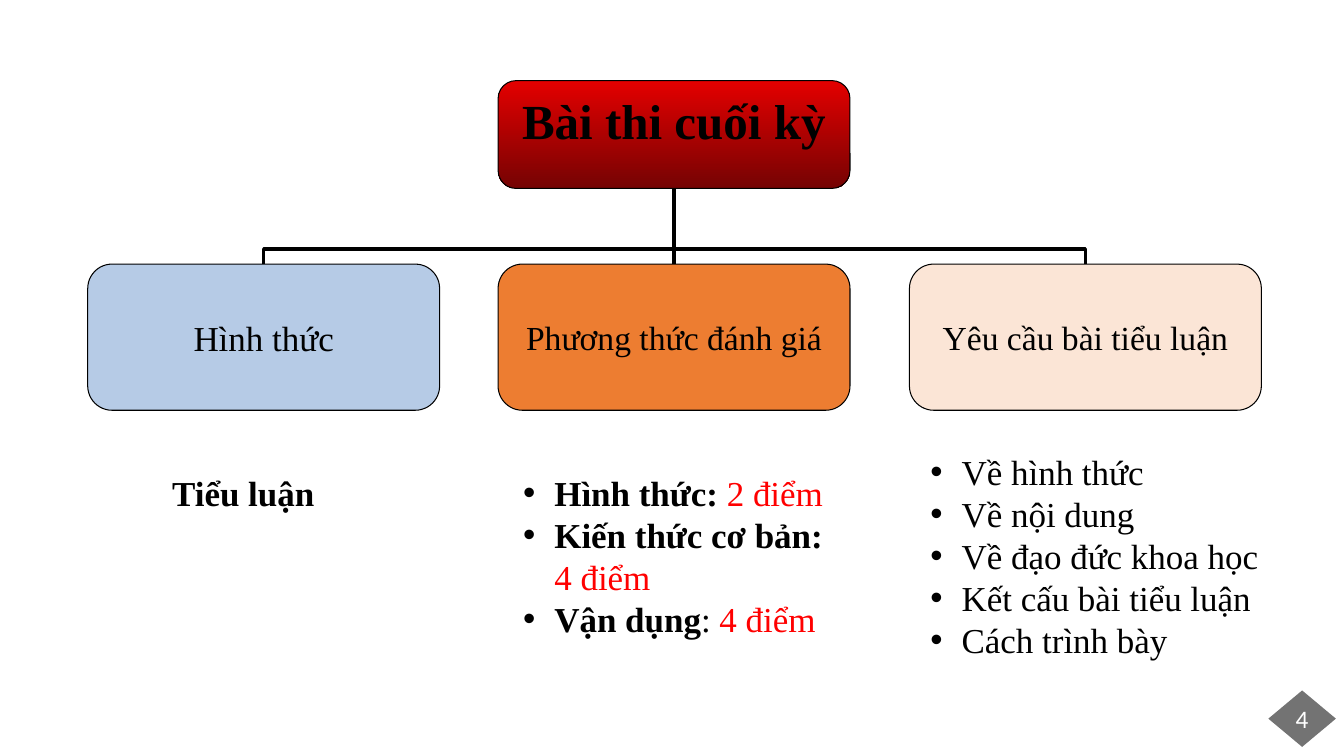
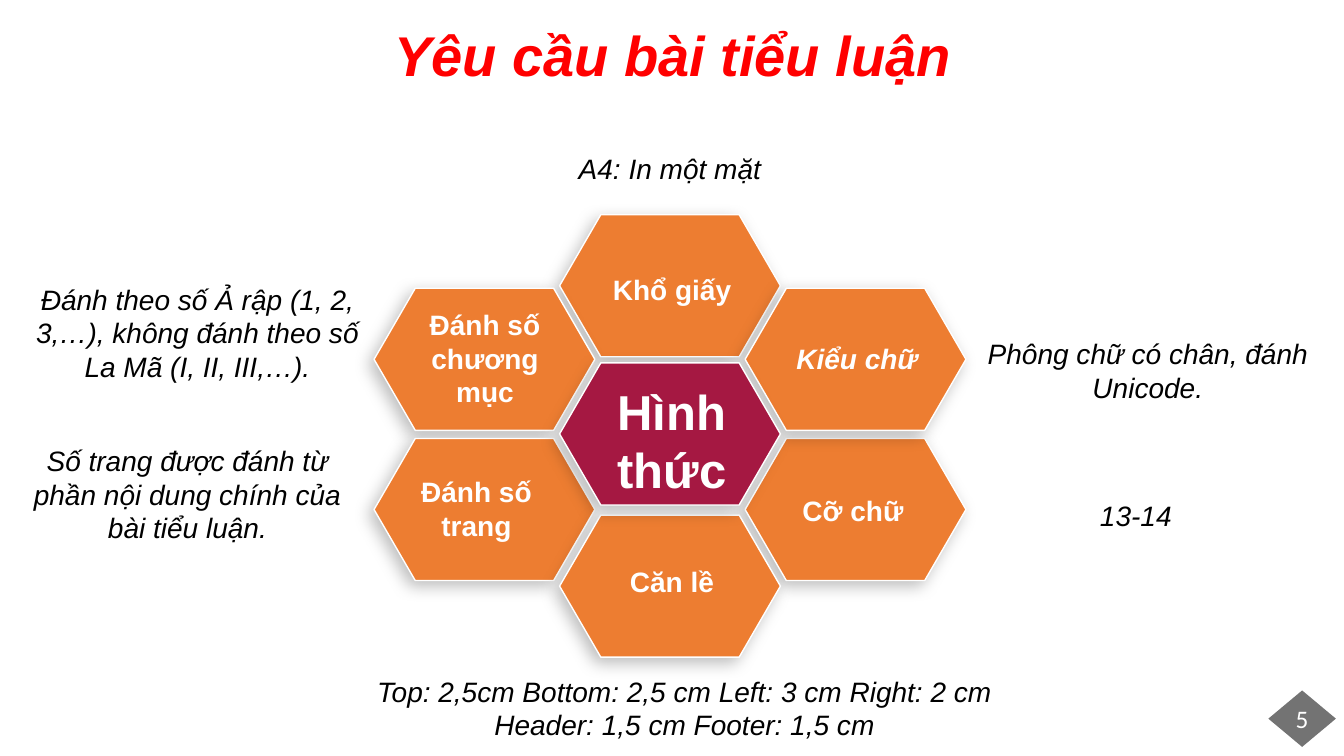
"""Build two slides on the final essay: its grading and its required format."""
from dataclasses import dataclass
from typing import NamedTuple

import lxml.etree
import pptx
import pptx.dml.color
import pptx.enum.dml
import pptx.enum.shapes
import pptx.enum.text
import pptx.oxml.ns
import pptx.util

Inches = pptx.util.Inches
Pt = pptx.util.Pt
RGBColor = pptx.dml.color.RGBColor
Align = pptx.enum.text.PP_ALIGN
Anchor = pptx.enum.text.MSO_ANCHOR
Kind = pptx.enum.shapes.MSO_SHAPE
Link = pptx.enum.shapes.MSO_CONNECTOR
qn = pptx.oxml.ns.qn

BLACK = RGBColor(0x00, 0x00, 0x00)
WHITE = RGBColor(0xFF, 0xFF, 0xFF)
RED = RGBColor(0xFF, 0x00, 0x00)
BRIGHT = RGBColor(0xE3, 0x00, 0x00)
DARK = RGBColor(0x76, 0x03, 0x03)
BLUE = RGBColor(0xB6, 0xCB, 0xE6)
ORANGE = RGBColor(0xED, 0x7D, 0x31)
PEACH = RGBColor(0xFB, 0xE5, 0xD6)
WINE = RGBColor(0xA5, 0x18, 0x42)

SERIF = "Times New Roman"
SANS = "Arial"


class Area(NamedTuple):
    left: float
    top: float
    width: float
    height: float

    def size(self) -> tuple:
        return tuple(Inches(side) for side in self)


class Span(NamedTuple):
    text: str
    tint: RGBColor
    bold: bool = False


@dataclass(frozen=True)
class Style:
    font: str
    size: float
    tint: RGBColor = BLACK
    bold: bool = False
    slant: bool = False
    align: Align = Align.CENTER


@dataclass(frozen=True)
class Node:
    text: str
    left: float
    fill: RGBColor
    size: float


@dataclass(frozen=True)
class Note:
    text: str
    area: Area
    style: Style


@dataclass(frozen=True)
class Cell:
    left: float
    top: float
    fill: RGBColor = ORANGE


ROOT = Style(SERIF, 35, bold=True)
BODY = Style(SERIF, 25, align=Align.LEFT)
STRONG = Style(SERIF, 25, bold=True, align=Align.LEFT)
TITLE = Style(SANS, 40, RED, bold=True, slant=True)
LABEL = Style(SANS, 20, WHITE, bold=True)
TILT = Style(SANS, 20, WHITE, bold=True, slant=True)
CORE = Style(SANS, 35, WHITE, bold=True)
HINT = Style(SANS, 20, slant=True)
PAGE = Style("Calibri", 18, WHITE)

NODES = [
    Node("Hình thức", 0.87, BLUE, 25),
    Node("Phương thức đánh giá", 4.94, ORANGE, 24),
    Node("Yêu cầu bài tiểu luận", 9.02, PEACH, 24),
]
NEEDS = ["Về hình thức", "Về nội dung", "Về đạo đức khoa học",
         "Kết cấu bài tiểu luận", "Cách trình bày"]
MARKS = [
    [Span("Hình thức: ", BLACK, True), Span("2 điểm", RED)],
    [Span("Kiến thức cơ bản: ", BLACK, True), Span("4 điểm", RED)],
    [Span("Vận dụng", BLACK, True), Span(": ", BLACK), Span("4 điểm", RED)],
]

WEST, MID, EAST = (3.71 + 1.84 * step for step in range(3))
CELLS = [Cell(EAST, 4.35), Cell(MID, 2.13), Cell(EAST, 2.86), Cell(WEST, 2.86),
         Cell(WEST, 4.35), Cell(MID, 5.11), Cell(MID, 3.6, WINE)]
LABELS = [
    Note("Đánh số chương mục", Area(4.12, 3.05, 1.38, 1.01), LABEL),
    Note("Kiểu chữ", Area(7.67, 3.39, 1.66, 0.34), TILT),
    Note("Cỡ chữ", Area(7.77, 4.9, 1.38, 0.34), LABEL),
    Note("Khổ giấy", Area(5.77, 2.7, 1.79, 0.34), LABEL),
    Note("Hình thức", Area(5.84, 3.78, 1.65, 1.18), CORE),
    Note("Đánh số trang", Area(3.9, 4.71, 1.65, 0.67), LABEL),
    Note("Căn lề", Area(5.84, 5.6, 1.65, 0.34), LABEL),
]
HINTS = [
    Note("Yêu cầu bài tiểu luận", Area(3.14, 0.15, 7.06, 0.77), TITLE),
    Note("13-14", Area(9.92, 4.9, 2.69, 0.44), HINT),
    Note("A4: In một mặt", Area(4.58, 1.45, 4.13, 0.44), HINT),
    Note("Đánh theo số Ả rập (1, 2, 3,…), không đánh theo số La Mã (I, II, III,…).",
         Area(0.21, 2.75, 3.5, 1.11), HINT),
    Note("Số trang được đánh từ phần nội dung chính của bài tiểu luận.",
         Area(0.11, 4.35, 3.5, 1.11), HINT),
    Note("Top: 2,5cm Bottom: 2,5 cm Left: 3 cm Right: 2 cm Header: 1,5 cm Footer: 1,5 cm",
         Area(3.34, 6.64, 6.9, 0.77), HINT),
    Note("Phông chữ có chân, đánh Unicode.", Area(9.6, 3.29, 3.57, 0.77), HINT),
]


def add_tag(owner, label: str, **attrs: str):
    tag = lxml.etree.SubElement(owner, qn(label))
    for key, value in attrs.items():
        tag.set(key, value)
    return tag


def write(frame, lines: list, style: Style, bullet: bool = False) -> None:
    frame.word_wrap = True
    for index, line in enumerate(lines):
        para = frame.add_paragraph() if index else frame.paragraphs[0]
        para.alignment = style.align
        if bullet:
            props = para._p.get_or_add_pPr()
            props.set("marL", str(Inches(0.31)))
            props.set("indent", str(-Inches(0.31)))
            add_tag(props, "a:buFont", typeface=SANS)
            add_tag(props, "a:buChar", char="•")
        para.font.name = style.font
        para.font.size = Pt(style.size)
        para.font.italic = style.slant
        if isinstance(line, str):
            para.font.bold = style.bold
            para.font.color.rgb = style.tint
            para.add_run().text = line
            continue
        for span in line:
            run = para.add_run()
            run.text = span.text
            run.font.bold = span.bold
            run.font.color.rgb = span.tint


def add_text(slide, lines: list, area: Area, style: Style, bullet: bool = False):
    box = slide.shapes.add_textbox(*area.size())
    write(box.text_frame, lines, style, bullet)
    return box


def clear_inset(frame) -> None:
    frame.margin_left = frame.margin_right = 0
    frame.margin_top = frame.margin_bottom = 0


def add_form(slide, kind: Kind, area: Area, fill: RGBColor):
    form = slide.shapes.add_shape(kind, *area.size())
    form.shadow.inherit = False
    form.fill.solid()
    form.fill.fore_color.rgb = fill
    return form


def add_box(slide, area: Area, fill: RGBColor, text: str, style: Style, anchor: Anchor):
    box = add_form(slide, Kind.ROUNDED_RECTANGLE, area, fill)
    box.line.color.rgb = BLACK
    box.line.width = Pt(0.75)
    box.text_frame.vertical_anchor = anchor
    write(box.text_frame, [text], style)
    return box


def add_page(slide, number: int) -> None:
    badge = add_form(slide, Kind.DIAMOND, Area(12.58, 6.85, 0.67, 0.56), BLACK)
    color = badge._element.spPr.find(qn("a:solidFill"))[0]
    add_tag(color, "a:alpha", val="55000")
    badge.line.fill.background()
    clear_inset(badge.text_frame)
    badge.text_frame.vertical_anchor = Anchor.MIDDLE
    write(badge.text_frame, [str(number)], PAGE)


def join(slide, child, root) -> None:
    start = child.left + child.width // 2
    end = root.left + root.width // 2
    low, high = child.top, root.top + root.height
    kind = Link.STRAIGHT if start == end else Link.ELBOW
    line = slide.shapes.add_connector(kind, start, low, end, high)
    line.begin_connect(child, 0)
    line.end_connect(root, 2)
    line.line.color.rgb = BLACK
    line.line.width = Pt(2.25)
    props = line._element.spPr
    add_tag(props, "a:effectLst")
    if kind == Link.STRAIGHT:
        return
    rise, span = low - high, abs(end - start)
    line.left = (start + end - rise) // 2
    line.top = (low + high - span) // 2
    line.width, line.height = rise, span
    right = start > end
    frame = props.find(qn("a:xfrm"))
    frame.set("rot", str((90 if right else 270) * 60000))
    frame.set("flipH", str(int(right)))
    frame.set("flipV", "0")
    bends = props.find(qn("a:prstGeom")).find(qn("a:avLst"))
    add_tag(bends, "a:gd", name="adj1", fmla="val 20000")


def add_cell(slide, cell: Cell) -> None:
    form = add_form(slide, Kind.HEXAGON, Area(cell.left, cell.top, 2.19, 1.41), cell.fill)
    form.adjustments[0] = 0.29
    form.line.color.rgb = WHITE
    form.line.width = Pt(1)
    effects = form._element.spPr.find(qn("a:effectLst"))
    shade = add_tag(effects, "a:outerShdw", blurRad=str(Pt(12)), dist=str(Pt(5)),
                    dir=str(135 * 60000), algn="tr", rotWithShape="0")
    color = add_tag(shade, "a:srgbClr", val=str(BLACK))
    add_tag(color, "a:alpha", val="26000")


def draw_exam(slide) -> None:
    root = add_box(slide, Area(4.94, 0.8, 3.49, 1.07), BRIGHT,
                   "Bài thi cuối kỳ", ROOT, Anchor.TOP)
    root.fill.gradient()
    root.fill.gradient_angle = 270
    for stop, color, place in zip(root.fill.gradient_stops, (BRIGHT, DARK), (0, 1)):
        stop.color.rgb = color
        stop.position = place
    for node in NODES:
        child = add_box(slide, Area(node.left, 2.62, 3.49, 1.45), node.fill,
                        node.text, Style(SERIF, node.size), Anchor.MIDDLE)
        join(slide, child, root)
    add_text(slide, ["Tiểu luận"], Area(1.61, 4.63, 2, 0.52), STRONG)
    add_text(slide, NEEDS, Area(9.13, 4.42, 3.8, 2.2), BODY, bullet=True)
    add_text(slide, MARKS, Area(5.09, 4.63, 3.34, 1.78), BODY, bullet=True)


def draw_format(slide) -> None:
    for cell in CELLS:
        add_cell(slide, cell)
    for note in LABELS:
        box = add_text(slide, [note.text], note.area, note.style)
        clear_inset(box.text_frame)
    for note in HINTS:
        add_text(slide, [note.text], note.area, note.style)


def main() -> None:
    deck = pptx.Presentation()
    deck.slide_width, deck.slide_height = Inches(13.33), Inches(7.5)
    for number, draw in enumerate((draw_exam, draw_format), start=4):
        slide = deck.slides.add_slide(deck.slide_layouts[6])
        draw(slide)
        add_page(slide, number)
    deck.save("out.pptx")


if __name__ == "__main__":
    main()
